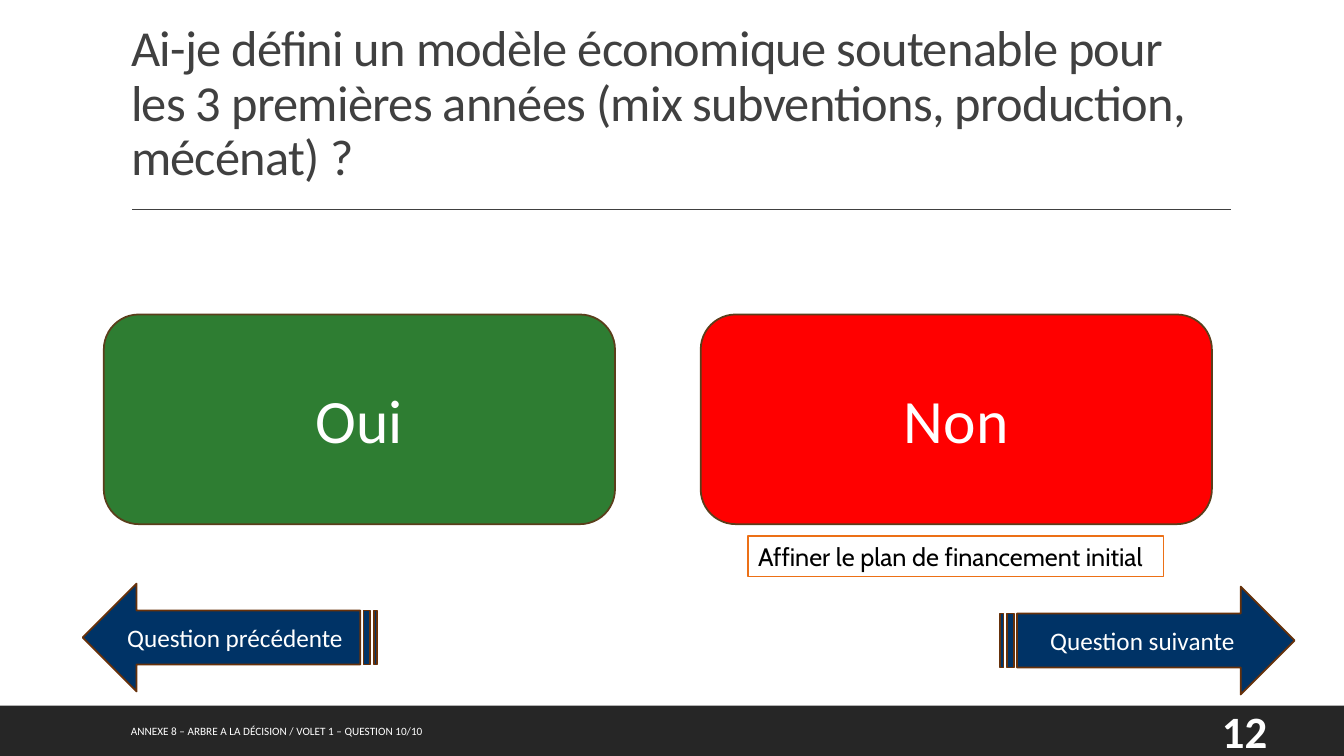
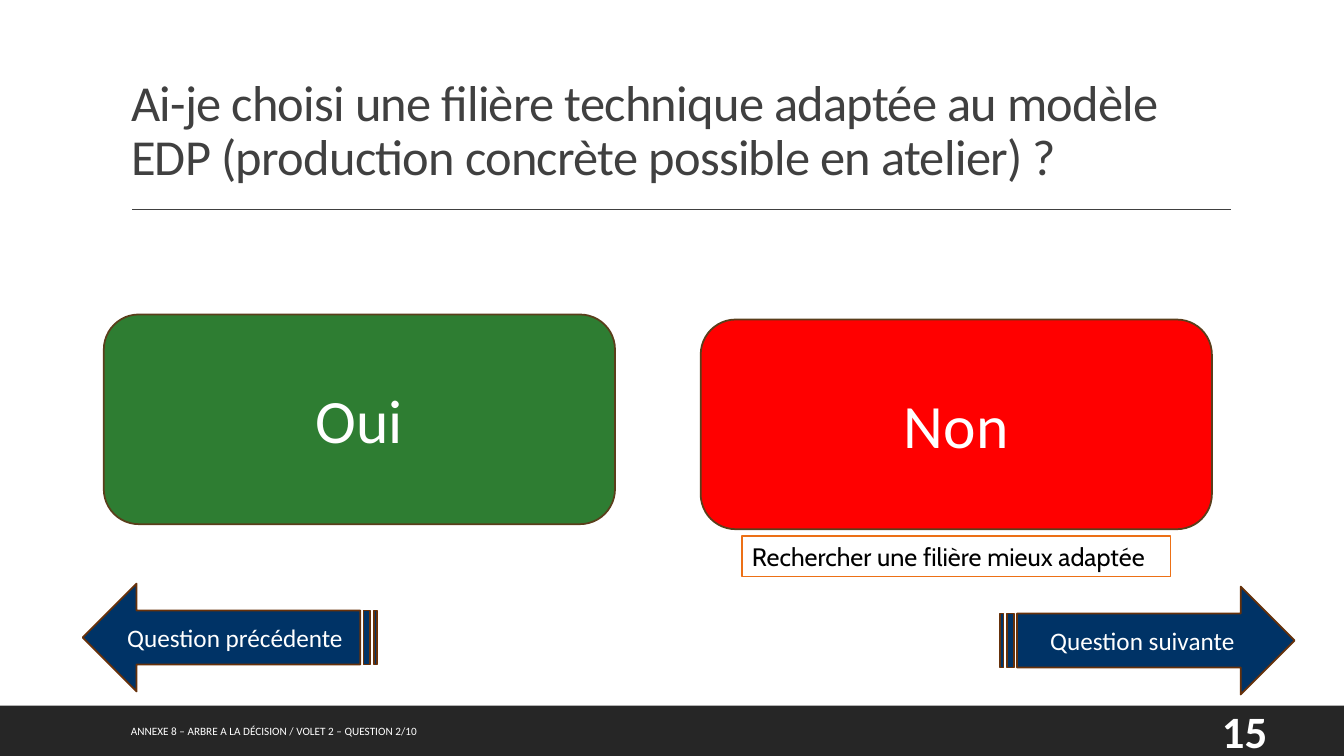
from dataclasses import dataclass

import pptx
import pptx.dml.color
import pptx.enum.shapes
import pptx.enum.text
import pptx.oxml.ns
import pptx.util
from pptx.util import Inches

SHAPE = pptx.enum.shapes.MSO_SHAPE
ALIGN = pptx.enum.text.PP_ALIGN
ANCHOR = pptx.enum.text.MSO_ANCHOR
FIT = pptx.enum.text.MSO_AUTO_SIZE

# Shared palette and font
FONT, HAND = "Calibri", "Cabin"
WHITE, BLACK, GREY, DARK = "FFFFFF", "000000", "404040", "262626"
GREEN, RED, NAVY = "2E7D32", "FF0000", "003366"
BROWN, RUST, AMBER = "5A3E1B", "67310A", "EC7016"


@dataclass
class Part:
    """A filled shape with a centred label."""
    kind: int
    left: float
    top: float
    width: float
    height: float
    text: str
    size: int
    fill: str
    edge: str
    flip: bool = False


@dataclass
class Page:
    """What differs from one question to the next."""
    title: str
    tip: str
    tip_left: float
    tip_width: float
    no_top: float
    footer: str
    number: str


PAGES = [
    Page("Ai-je défini un modèle économique soutenable pour les 3 premières années "
         "(mix subventions, production, mécénat) ?",
         "Affiner le plan de financement initial", 7.42, 4.12, 3.12,
         "ANNEXE 8 – ARBRE A LA DÉCISION / VOLET 1 – QUESTION 10/10", "12"),
    Page("Ai-je choisi une filière technique adaptée au modèle EDP "
         "(production concrète possible en atelier) ?",
         "Rechercher une filière mieux adaptée", 7.36, 4.25, 3.17,
         "ANNEXE 8 – ARBRE A LA DÉCISION / VOLET 2 – QUESTION 2/10", "15"),
]


def color(code: str) -> pptx.dml.color.RGBColor:
    return pptx.dml.color.RGBColor.from_string(code)


def write(shape, text: str, *, size: int, ink: str = WHITE, font: str = FONT,
          bold: bool = False, align=ALIGN.LEFT, anchor=ANCHOR.MIDDLE,
          wrap: bool = True, fit=FIT.NONE):
    """Put one formatted run in a shape and return it."""
    frame = shape.text_frame
    frame.word_wrap, frame.auto_size = wrap, fit
    frame.vertical_anchor = anchor
    para = frame.paragraphs[0]
    para.alignment = align
    run = para.add_run()
    run.text = text
    run.font.name, run.font.size = font, pptx.util.Pt(size)
    run.font.bold, run.font.color.rgb = bold, color(ink)
    return run


def paint(shape, fill: str, edge: str = "") -> None:
    shape.fill.solid()
    shape.fill.fore_color.rgb = color(fill)
    if edge:
        shape.line.color.rgb = color(edge)
        shape.line.width = pptx.util.Pt(1.25)
    else:
        shape.line.fill.background()


def box(slide, left: float, top: float, width: float, height: float):
    return slide.shapes.add_textbox(Inches(left), Inches(top), Inches(width), Inches(height))


def draw(slide, part: Part) -> None:
    shape = slide.shapes.add_shape(part.kind, Inches(part.left), Inches(part.top),
                                   Inches(part.width), Inches(part.height))
    shape.shadow.inherit = False
    paint(shape, part.fill, part.edge)
    if part.flip:
        shape._element.spPr.find(pptx.oxml.ns.qn("a:xfrm")).set("flipH", "1")
    if part.text:
        write(shape, part.text, size=part.size, align=ALIGN.CENTER)


def frame(slide, page: Page) -> None:
    """Footer band, title rule, title, footer and page number."""
    draw(slide, Part(SHAPE.RECTANGLE, 0, 7, 13.33, 0.5, "", 0, DARK, ""))
    rule = slide.shapes.add_connector(pptx.enum.shapes.MSO_CONNECTOR.STRAIGHT,
                                      Inches(1.31), Inches(2.08), Inches(12.21), Inches(2.08))
    rule.line.color.rgb = color(GREY)
    rule.line.width = pptx.util.Pt(1)
    rule._element.spPr.append(pptx.oxml.parse_xml(
        f"<a:effectLst {pptx.oxml.ns.nsdecls('a')}/>"))

    title = slide.shapes.title
    title.left, title.top = Inches(1.2), Inches(0.31)
    title.width, title.height = Inches(11), Inches(1.59)
    run = write(title, page.title, size=36, ink=GREY, anchor=ANCHOR.BOTTOM)
    run.font._element.set("spc", "-50")
    title.text_frame.paragraphs[0].line_spacing = 0.9

    write(box(slide, 1.2, 7.05, 7.46, 0.4), page.footer, size=8, align=ALIGN.JUSTIFY)
    write(box(slide, 12.02, 7.05, 0.85, 0.4), page.number, size=32, bold=True)


def build(deck, page: Page) -> None:
    slide = deck.slides.add_slide(deck.slide_layouts.get_by_name("Title Only"))
    frame(slide, page)

    # Advice under the negative answer
    tip = box(slide, page.tip_left, 5.32, page.tip_width, 0.4)
    paint(tip, WHITE, AMBER)
    write(tip, page.tip, size=18, ink=BLACK, font=HAND, anchor=ANCHOR.TOP,
          wrap=False, fit=FIT.SHAPE_TO_FIT_TEXT)

    # Answers
    for text, left, top, fill in (("Oui", 1.03, 3.12, GREEN),
                                  ("Non", 6.95, page.no_top, RED)):
        draw(slide, Part(SHAPE.ROUNDED_RECTANGLE, left, top, 5.07, 2.08,
                         text, 44, fill, BROWN))

    # Navigation arrows
    for text, left, top, flip in (("Question suivante", 9.92, 5.82, False),
                                  ("Question précédente", 0.82, 5.79, True)):
        draw(slide, Part(SHAPE.STRIPED_RIGHT_ARROW, left, top, 2.92, 1.07,
                         text, 18, NAVY, RUST, flip))


def main() -> None:
    deck = pptx.Presentation()
    deck.slide_width, deck.slide_height = Inches(13.33), Inches(7.5)
    for page in PAGES:
        build(deck, page)
    deck.save("out.pptx")


if __name__ == "__main__":
    main()
